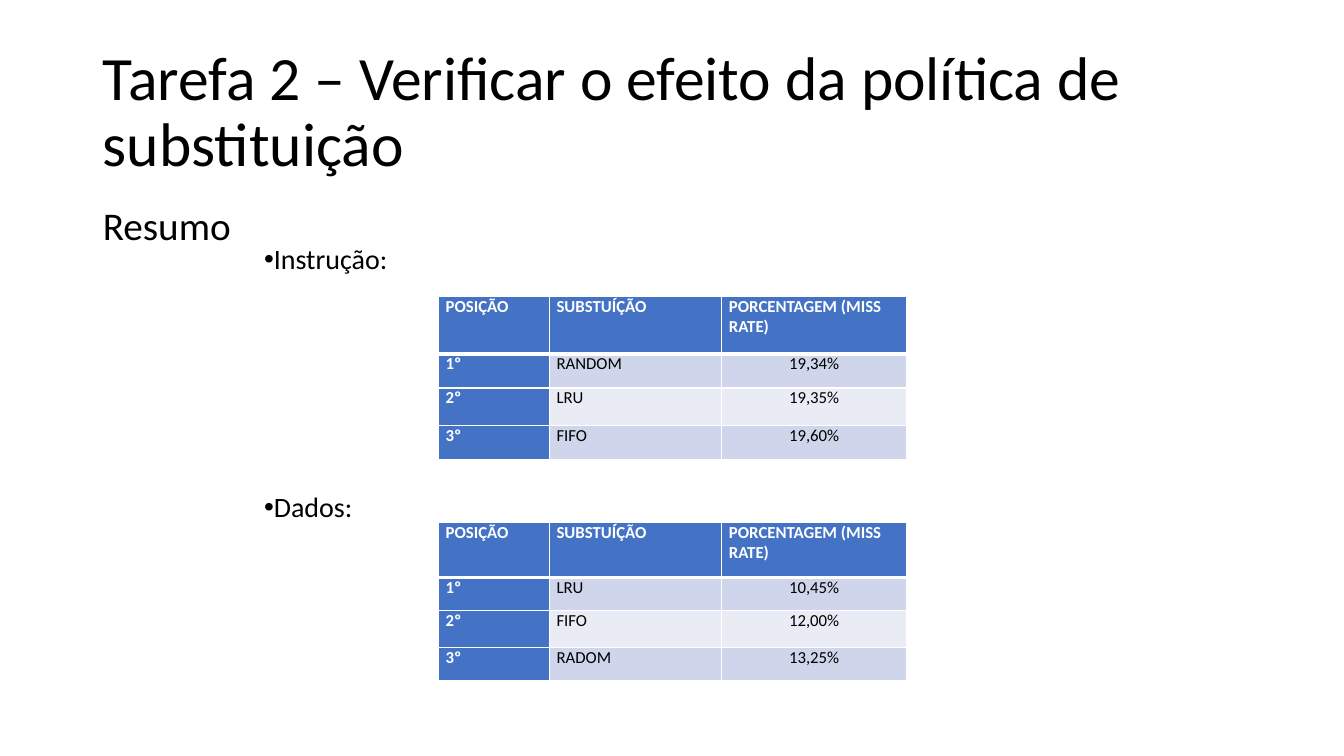
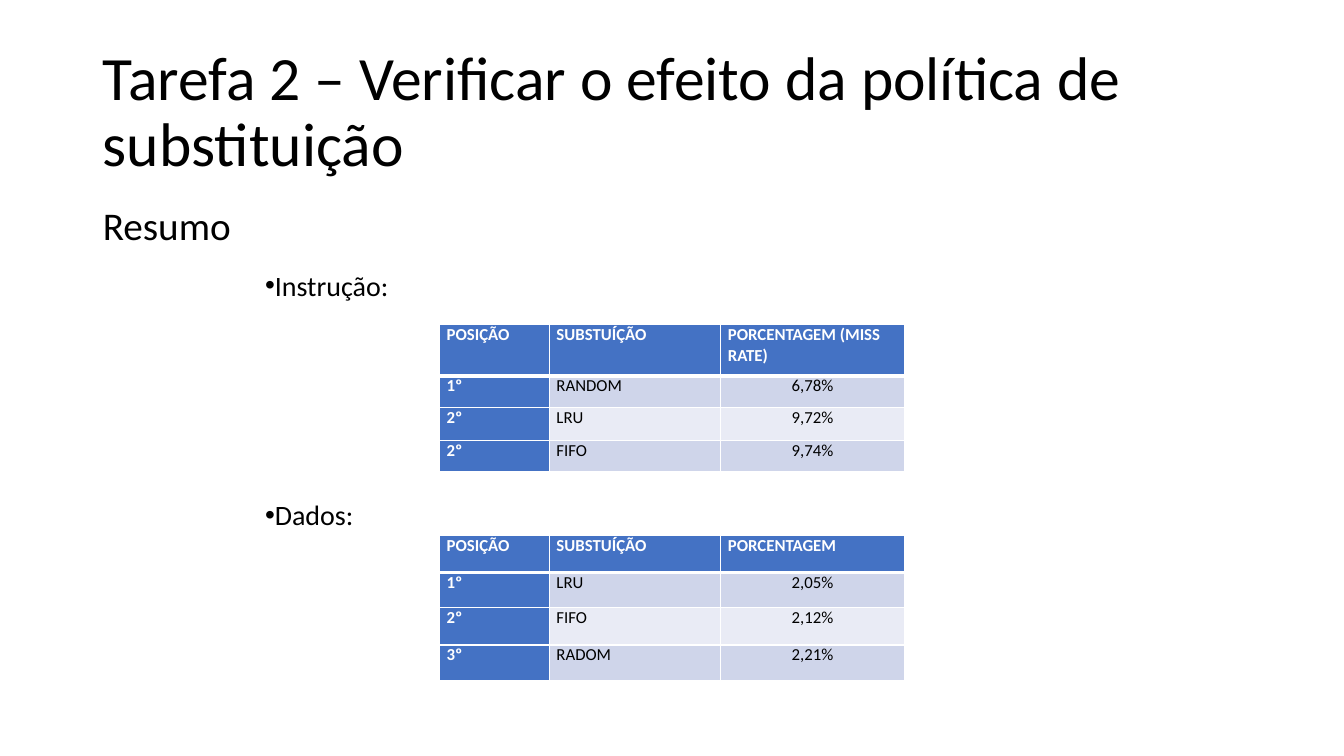
from dataclasses import dataclass
from typing import Any

from lxml.etree import SubElement
from pptx import Presentation
from pptx.dml.color import RGBColor
from pptx.enum.text import MSO_ANCHOR, MSO_AUTO_SIZE, PP_ALIGN
from pptx.oxml import parse_xml
from pptx.oxml.ns import nsdecls, qn
from pptx.slide import Slide
from pptx.util import Inches, Pt


@dataclass(frozen=True)
class Theme:
    font: str = "Calibri"
    text: RGBColor = RGBColor(0x00, 0x00, 0x00)
    white: RGBColor = RGBColor(0xFF, 0xFF, 0xFF)
    accent: RGBColor = RGBColor(0x44, 0x72, 0xC4)
    bands: tuple[RGBColor, RGBColor] = (RGBColor(0xCF, 0xD5, 0xEA), RGBColor(0xE9, 0xEB, 0xF5))
    title_size: int = 44
    body_size: int = 28
    label_size: int = 20
    table_size: int = 12
    thin_border: int = 1
    thick_border: int = 3


@dataclass(frozen=True)
class Ranking:
    """A bulleted label with the table of miss rates below it."""
    label: str
    label_top: float
    label_width: float
    label_height: float
    table_top: float
    row_heights: tuple[float, ...]
    rate_heading: str
    rows: tuple[tuple[str, str, str], ...]


@dataclass(frozen=True)
class Summary:
    label_left: float
    table_left: float
    column_widths: tuple[float, ...]
    rankings: tuple[Ranking, ...]


THEME = Theme()
TITLE = "Tarefa 2 – Verificar o efeito da política de substituição"
HEADING = "Resumo"
MISS_RATE = "PORCENTAGEM (MISS RATE)"

SUMMARIES = (
    Summary(2.02, 4.35, (1.1, 1.71, 1.83), (
        Ranking("Instrução:", 2.35, 1.98, 0.74, 2.94, (0.57, 0.34, 0.37, 0.34), MISS_RATE, (
            ("1º", "RANDOM", "19,34%"), ("2º", "LRU", "19,35%"), ("3º", "FIFO", "19,60%"))),
        Ranking("Dados:", 4.81, 1.62, 0.74, 5.18, (0.55, 0.33, 0.36, 0.33), MISS_RATE, (
            ("1º", "LRU", "10,45%"), ("2º", "FIFO", "12,00%"), ("3º", "RADOM", "13,25%"))),
    )),
    Summary(2.03, 4.36, (1.09, 1.7, 1.82), (
        Ranking("Instrução:", 2.61, 1.98, 0.94, 3.22, (0.51, 0.31, 0.33, 0.31), MISS_RATE, (
            ("1º", "RANDOM", "6,78%"), ("2º", "LRU", "9,72%"), ("2º", "FIFO", "9,74%"))),
        Ranking("Dados:", 4.89, 1.62, 0.74, 5.31, (0.37, 0.35, 0.37, 0.35), "PORCENTAGEM", (
            ("1º", "LRU", "2,05%"), ("2º", "FIFO", "2,12%"), ("3º", "RADOM", "2,21%"))),
    )),
)


# Formatting helpers
def apply_format(target: Any, values: dict[str, Any]) -> None:
    for name, value in values.items():
        setattr(target, name, value)


def write_text(frame: Any, text: str, size: int, color: RGBColor = THEME.text,
               bold: bool = False, **paragraph_format: Any) -> Any:
    paragraph = frame.paragraphs[0]
    apply_format(paragraph, {"alignment": PP_ALIGN.LEFT, **paragraph_format})
    run = paragraph.add_run()
    run.text = text
    apply_format(run.font, {"name": THEME.font, "size": Pt(size), "bold": bold})
    run.font.color.rgb = color
    return paragraph


def set_bullet(paragraph: Any, left: float, character: str = "") -> None:
    properties = paragraph._p.get_or_add_pPr()
    properties.set("marL", str(Inches(left)))
    properties.set("indent", "0")
    if character:
        SubElement(properties, qn("a:buFont"), typeface="Arial")
        SubElement(properties, qn("a:buChar"), char=character)
    else:
        SubElement(properties, qn("a:buNone"))


def set_borders(cell: Any, top: int, bottom: int) -> None:
    thin = THEME.thin_border
    widths = {"lnL": thin, "lnR": thin, "lnT": top, "lnB": bottom}
    properties = cell._tc.get_or_add_tcPr()
    for position, (tag, width) in enumerate(widths.items()):
        properties.insert(position, parse_xml(
            f'<a:{tag} {nsdecls("a")} w="{Pt(width)}"><a:solidFill>'
            f'<a:srgbClr val="{THEME.white}"/></a:solidFill></a:{tag}>'))


# Title and heading
def fill_placeholders(slide: Slide) -> None:
    title, body = slide.shapes.title, slide.placeholders[1]
    for placeholder, top, height, anchor in (
        (title, 0.4, 1.45, MSO_ANCHOR.MIDDLE),
        (body, 2, 4.76, MSO_ANCHOR.TOP),
    ):
        apply_format(placeholder, {"left": Inches(0.92), "top": Inches(top),
                                   "width": Inches(11.5), "height": Inches(height)})
        apply_format(placeholder.text_frame, {"vertical_anchor": anchor, "word_wrap": True,
                                              "auto_size": MSO_AUTO_SIZE.NONE})
    write_text(title.text_frame, TITLE, THEME.title_size, line_spacing=0.9)
    heading = write_text(body.text_frame, HEADING, THEME.body_size,
                         line_spacing=0.9, space_before=Pt(10))
    set_bullet(heading, 0)


# Label and table of one ranking
def add_label(slide: Slide, ranking: Ranking, left: float) -> None:
    box = slide.shapes.add_textbox(Inches(left), Inches(ranking.label_top),
                                   Inches(ranking.label_width), Inches(ranking.label_height))
    apply_format(box.text_frame, {"word_wrap": True, "margin_right": 0,
                                  "vertical_anchor": MSO_ANCHOR.TOP})
    paragraph = write_text(box.text_frame, ranking.label, THEME.label_size, level=1)
    set_bullet(paragraph, 0.5, "•")


def add_ranking_table(slide: Slide, ranking: Ranking, summary: Summary) -> None:
    rows = (("POSIÇÃO", "SUBSTUÍÇÃO", ranking.rate_heading), *ranking.rows)
    widths, heights = summary.column_widths, ranking.row_heights
    table = slide.shapes.add_table(
        len(rows), len(widths), Inches(summary.table_left), Inches(ranking.table_top),
        Inches(sum(widths)), Inches(sum(heights))).table
    table.first_col = True
    for column, width in zip(table.columns, widths):
        column.width = Inches(width)
    for row, height in zip(table.rows, heights):
        row.height = Inches(height)

    for row_index, values in enumerate(rows):
        for column_index, value in enumerate(values):
            cell = table.cell(row_index, column_index)
            is_heading = row_index == 0 or column_index == 0
            is_rate = row_index > 0 and column_index == 2
            apply_format(cell, {"margin_left": Inches(0.07), "margin_right": Inches(0.07),
                                "margin_top": 0, "margin_bottom": 0,
                                "vertical_anchor": MSO_ANCHOR.TOP})
            cell.fill.solid()
            cell.fill.fore_color.rgb = THEME.accent if is_heading else THEME.bands[(row_index - 1) % 2]
            write_text(cell.text_frame, value, THEME.table_size,
                       THEME.white if is_heading else THEME.text, is_heading,
                       alignment=PP_ALIGN.CENTER if is_rate else PP_ALIGN.LEFT)
            set_borders(cell,
                        top=THEME.thick_border if row_index == 1 else THEME.thin_border,
                        bottom=THEME.thick_border if row_index == 0 else THEME.thin_border)


def main() -> None:
    presentation = Presentation()
    presentation.slide_width = Inches(13.33)
    presentation.slide_height = Inches(7.5)
    for summary in SUMMARIES:
        slide = presentation.slides.add_slide(presentation.slide_layouts[1])
        fill_placeholders(slide)
        for ranking in summary.rankings:
            add_label(slide, ranking, summary.label_left)
            add_ranking_table(slide, ranking, summary)
    presentation.save("out.pptx")


if __name__ == "__main__":
    main()
